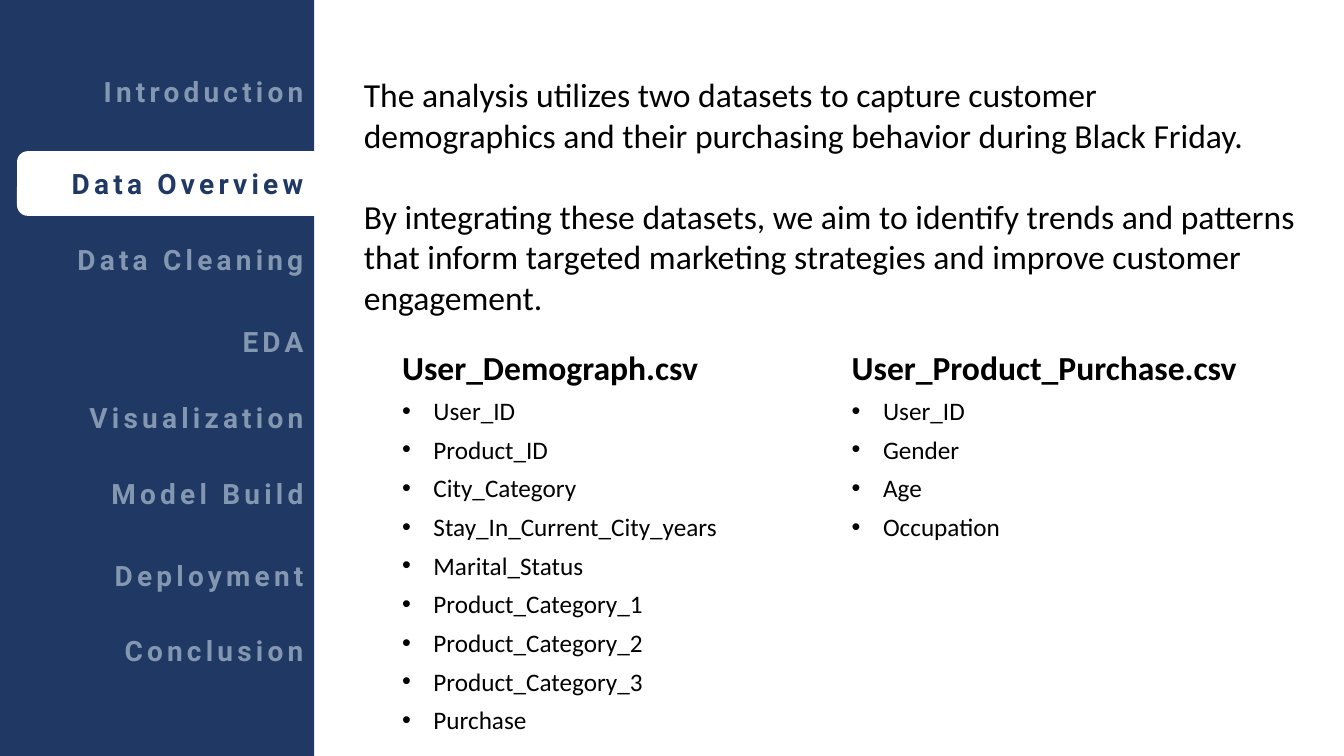
"""Build the Data Overview slide with its navigation sidebar and two dataset lists."""
from dataclasses import dataclass

import lxml.etree
import pptx
import pptx.dml.color
import pptx.enum.shapes
import pptx.enum.text
import pptx.oxml.ns
import pptx.util

SHAPES = pptx.enum.shapes.MSO_SHAPE
ALIGN = pptx.enum.text.PP_ALIGN


@dataclass(frozen=True)
class Theme:
    navy: str = "203864"
    muted: str = "8497B0"
    white: str = "FFFFFF"
    black: str = "000000"
    menu_font: str = "Roboto"
    body_font: str = "Calibri"
    menu_size: int = 20
    text_size: int = 24
    list_size: int = 18
    list_gap: int = 6
    paragraph_gap: float = 29.3
    indent: float = 0.79


def write_text(para, text, *, font, size, color, bold=False, align=ALIGN.LEFT,
               before=0, tracking=0, bullet=False, indent=0):
    para.alignment = align
    para.space_before = pptx.util.Pt(before)
    properties = para._p.get_or_add_pPr()
    properties.set("marL", str(pptx.util.Cm(indent)))
    properties.set("indent", str(-pptx.util.Cm(indent)))
    tag = pptx.oxml.ns.qn("a:buChar" if bullet else "a:buNone")
    mark = lxml.etree.SubElement(properties, tag)
    if bullet:
        mark.set("char", "•")
    span = para.add_run()
    span.text = text
    span.font.name = font
    span.font.size = pptx.util.Pt(size)
    span.font.bold = bold
    span.font.color.rgb = pptx.dml.color.RGBColor.from_string(color)
    if tracking:
        span.font._element.set("spc", str(tracking * 100))


class SlideBuilder:
    def __init__(self, slide, theme):
        self.slide = slide
        self.theme = theme

    def panel(self, kind, color, left, top, width, height):
        panel = self.slide.shapes.add_shape(
            kind, *map(pptx.util.Cm, (left, top, width, height)))
        panel.shadow.inherit = False
        panel.fill.solid()
        panel.fill.fore_color.rgb = pptx.dml.color.RGBColor.from_string(color)
        panel.line.fill.background()
        self.slide.shapes.title.element.addprevious(panel.element)

    def text_box(self):
        return self.slide.shapes.add_textbox(0, 0, 0, 0)

    def place(self, box, left, top, width, height):
        box.left, box.top, box.width, box.height = map(
            pptx.util.Cm, (left, top, width, height))
        frame = box.text_frame
        frame.word_wrap = True
        frame.auto_size = pptx.enum.text.MSO_AUTO_SIZE.SHAPE_TO_FIT_TEXT
        frame.vertical_anchor = pptx.enum.text.MSO_ANCHOR.TOP
        return frame

    def menu_item(self, text, top, active):
        theme = self.theme
        box = self.slide.shapes.title if active else self.text_box()
        frame = self.place(box, 0.66, top, 7.24, 1.11)
        write_text(frame.paragraphs[0], text, font=theme.menu_font,
                   size=theme.menu_size, bold=True, align=ALIGN.RIGHT, tracking=3,
                   color=theme.navy if active else theme.muted)

    def prose(self, paragraphs, left, top, width, height):
        theme = self.theme
        frame = self.place(self.text_box(), left, top, width, height)
        for number, text in enumerate(paragraphs):
            para = frame.add_paragraph() if number else frame.paragraphs[0]
            write_text(para, text, font=theme.body_font, size=theme.text_size,
                       color=theme.black, before=theme.paragraph_gap if number else 0)

    def dataset(self, index, heading, fields, left, top, width, height):
        theme = self.theme
        frame = self.place(self.slide.placeholders[index], left, top, width, height)
        style = dict(font=theme.body_font, color=theme.black, before=theme.list_gap)
        write_text(frame.paragraphs[0], heading, size=theme.text_size, bold=True, **style)
        for field in fields:
            write_text(frame.add_paragraph(), field, size=theme.list_size,
                       bullet=True, indent=theme.indent, **style)


MENU = {
    "Introduction": 1.75,
    "Data Overview": 4.06,
    "Data Cleaning": 5.99,
    "EDA": 8.05,
    "Visualization": 9.98,
    "Model Build": 11.89,
    "Deployment": 13.94,
    "Conclusion": 15.85,
}
INTRODUCTION = [
    "The analysis utilizes two datasets to capture customer demographics "
    "and their purchasing behavior during Black Friday.",
    "By integrating these datasets, we aim to identify trends and patterns that inform "
    "targeted marketing strategies and improve customer engagement.",
]
DEMOGRAPH_FIELDS = [
    "User_ID", "Product_ID", "City_Category", "Stay_In_Current_City_years",
    "Marital_Status", "Product_Category_1", "Product_Category_2",
    "Product_Category_3", "Purchase",
]
PURCHASE_FIELDS = ["User_ID", "Gender", "Age", "Occupation"]


def main():
    deck = pptx.Presentation()
    deck.slide_width = pptx.util.Cm(33.87)
    deck.slide_height = pptx.util.Cm(19.05)
    theme = Theme()
    page = SlideBuilder(deck.slides.add_slide(deck.slide_layouts.get_by_name("Two Content")),
                        theme)
    page.panel(SHAPES.RECTANGLE, theme.navy, 0, 0, 7.92, 19.05)
    page.panel(SHAPES.ROUNDED_RECTANGLE, theme.white, 0.43, 3.81, 7.75, 1.63)
    for label, top in MENU.items():
        page.menu_item(label, top, active=label == "Data Overview")
    page.prose(INTRODUCTION, 8.92, 1.75, 24, 6.4)
    page.dataset(1, "User_Demograph.csv", DEMOGRAPH_FIELDS, 9.88, 8.61, 11.33, 10.13)
    page.dataset(2, "User_Product_Purchase.csv", PURCHASE_FIELDS, 21.21, 8.61, 11.33, 5.21)
    deck.save("out.pptx")


if __name__ == "__main__":
    main()
